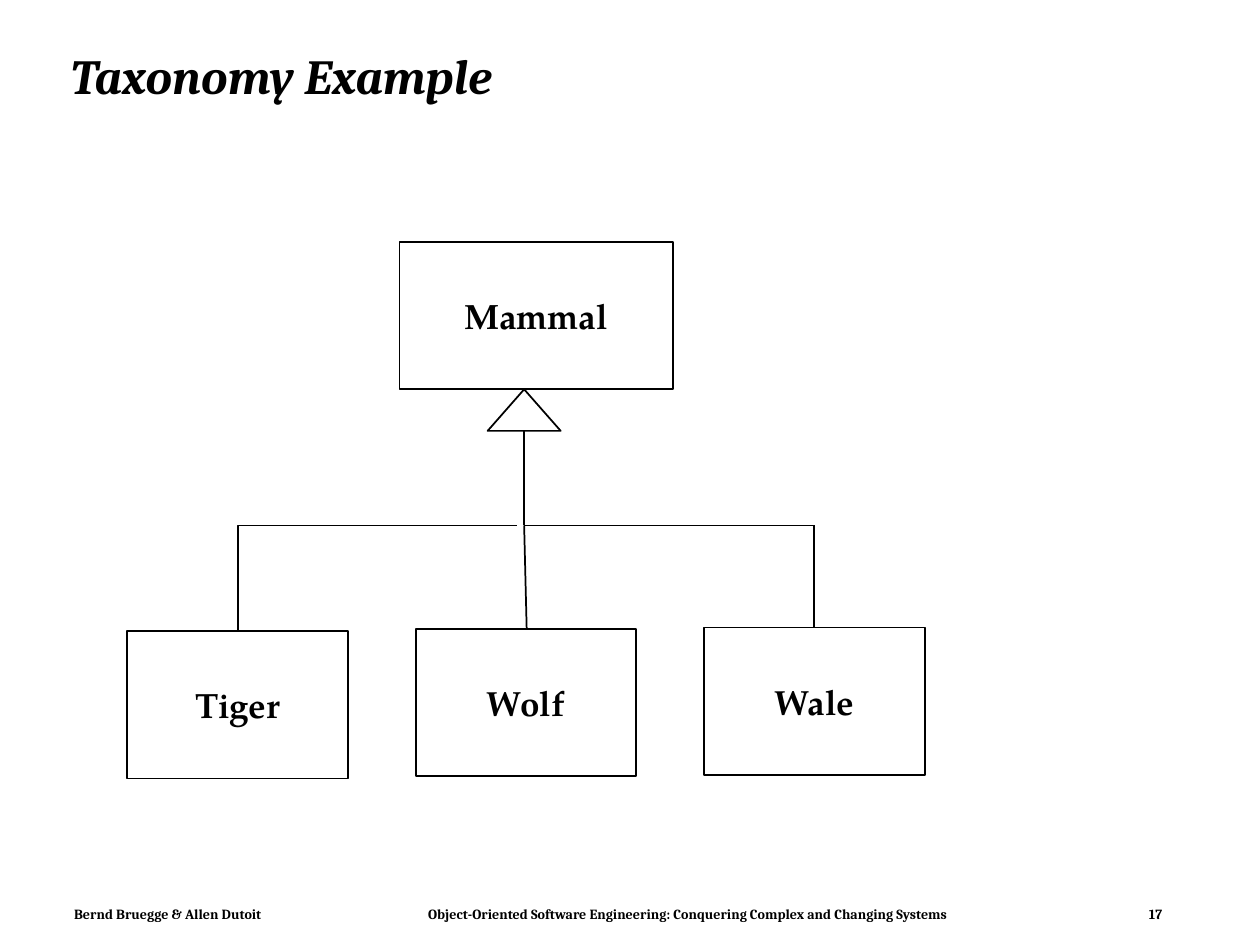
"""Builds the taxonomy example slide: one parent class and three children."""
from lxml import etree
from pptx import Presentation
from pptx.dml.color import RGBColor
from pptx.enum.shapes import MSO_CONNECTOR, MSO_SHAPE
from pptx.enum.text import MSO_ANCHOR, PP_ALIGN
from pptx.oxml.ns import qn
from pptx.util import Inches, Pt

RECT, TRIANGLE = MSO_SHAPE.RECTANGLE, MSO_SHAPE.ISOSCELES_TRIANGLE
STRAIGHT = MSO_CONNECTOR.STRAIGHT
MIDDLE, TOP = MSO_ANCHOR.MIDDLE, MSO_ANCHOR.TOP
LEFT, CENTER = PP_ALIGN.LEFT, PP_ALIGN.CENTER
COLS = 100
BLACK, WHITE = "000000", "FFFFFF"
HEAD = {"name": "Cambria", "size": Pt(28), "bold": True, "italic": True}
FOOT = {"name": "Cambria", "size": Pt(8), "bold": True}
NODE = {"name": "TeX Gyre Pagella", "size": Pt(20), "bold": True}


def color(code):
    return RGBColor.from_string(code)


def apply(target, values):
    for key, value in values.items():
        setattr(target, key, value)


class Canvas:
    def __init__(self, deck):
        self.cell = deck.slide_width / COLS
        self.slide = deck.slides.add_slide(deck.slide_layouts[6])
        self.shapes = self.slide.shapes

    def grid(self, *cells):
        return [round(n * self.cell) for n in cells]

    def stroke(self, item):
        item.line.color.rgb = color(BLACK)
        item.line.width = Pt(1)

    def letter(self, item, text, style, frame, align=LEFT):
        apply(item.text_frame, frame)
        para = item.text_frame.paragraphs[0]
        para.alignment = align
        run = para.add_run()
        run.text = text
        apply(run.font, style)
        run.font.color.rgb = color(BLACK)
        return para

    def label(self, area, text, style, frame):
        box = self.shapes.add_textbox(*self.grid(*area))
        return self.letter(box, text, style, {"word_wrap": True, **frame})

    def shape(self, kind, area, fill=None):
        item = self.shapes.add_shape(kind, *self.grid(*area))
        item.shadow.inherit = False
        if fill:
            item.fill.solid()
            item.fill.fore_color.rgb = color(fill)
        else:
            item.fill.background()
        self.stroke(item)
        return item

    def node(self, area, name):
        frame = {"word_wrap": False, "vertical_anchor": MIDDLE}
        self.letter(self.shape(RECT, area), name, NODE, frame, CENTER)

    def link(self, start, end):
        item = self.shapes.add_connector(STRAIGHT, *self.grid(*start, *end))
        self.stroke(item)
        etree.SubElement(item._element.spPr, qn("a:effectLst"))

    def bend(self, start, *points):
        form = self.shapes.build_freeform(*self.grid(*start))
        form.add_line_segments([self.grid(*p) for p in points], close=False)
        item = form.convert_to_shape()
        item.shadow.inherit = False
        item.fill.background()
        self.stroke(item)


def tabs(para, stops):
    props = para._p.get_or_add_pPr()
    group = etree.SubElement(props, qn("a:tabLst"))
    for stop in stops:
        etree.SubElement(group, qn("a:tab"), pos=str(stop), algn="l")


deck = Presentation()
deck.slide_width, deck.slide_height = Inches(10), Inches(7.5)
page = Canvas(deck)

title = page.label((4.6, 2.4, 89.2, 7.7), "Taxonomy Example", HEAD,
                   {"vertical_anchor": MIDDLE})
title.line_spacing = 0.9
parts = ["Bernd Bruegge & Allen Dutoit",
         "Object-Oriented Software Engineering: "
         "Conquering Complex and Changing Systems", "17"]
foot = page.label((4.9, 71.5, 88.3, 2.1), "\t".join(parts), FOOT,
                  {"vertical_anchor": TOP, "margin_left": Inches(0.1),
                   "margin_right": 0, "margin_top": Inches(0.04),
                   "margin_bottom": Inches(0.04)})
tabs(foot, page.grid(28.1, 85.3))

HIGH, WIDE, STEP = 11.7, 17.5, 22.9
STEM, BAR = 41.6, 41.7
page.node((31.7, 19.2, 21.7, HIGH), "Mammal")
page.shape(TRIANGLE, (38.7, 30.9, 5.8, 3.3), WHITE)
tops = {"Tiger": 50.1, "Wolf": 49.9, "Wale": 49.8}
for i, (name, top) in enumerate(tops.items()):
    page.node((10.1 + i * STEP, top, WIDE, HIGH), name)

mids = [18.9 + i * STEP for i in range(3)]
page.link((STEM, 34.2), (STEM, BAR))
page.bend((mids[0], tops["Tiger"]), (mids[0], BAR), (41, BAR))
page.link((STEM, BAR), (mids[1], tops["Wolf"]))
page.link((STEM, BAR), (64.5, BAR))
page.link((64.6, BAR), (64.6, tops["Wale"]))

deck.save("out.pptx")
